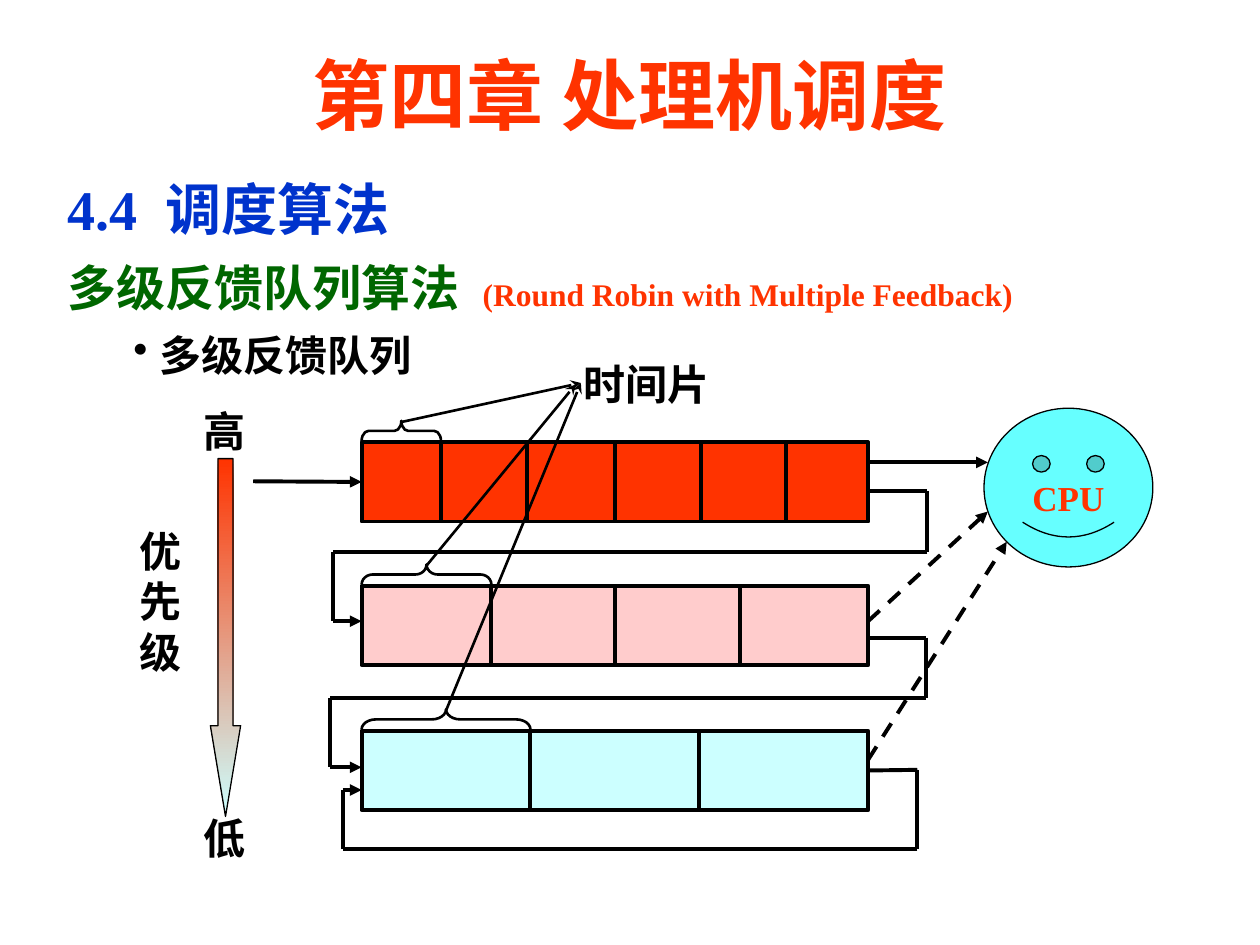
from dataclasses import dataclass

from pptx import Presentation
from pptx.dml.color import RGBColor as RGB
from pptx.enum.dml import MSO_LINE as Dash
from pptx.enum.shapes import MSO_CONNECTOR as Conn, MSO_SHAPE as Geo
from pptx.enum.text import MSO_ANCHOR as Anchor, PP_ALIGN as Align
from pptx.oxml.ns import qn
from pptx.util import Inches, Pt
from lxml.etree import SubElement


@dataclass(frozen=True)
class Theme:
    font: str = "Times New Roman"
    black: str = "000000"
    red: str = "FF3300"
    blue: str = "0033CC"
    green: str = "006600"
    pink: str = "FFCCCC"
    pale: str = "CCFFFF"
    cyan: str = "66FFFF"
    title: int = 44
    head: int = 32
    sub: int = 28
    label: int = 24
    cpu: int = 20
    note: int = 18
    thick: float = 2.25
    mid: float = 1.5
    thin: float = 0.75


def write(para, text, size, color, gap=0):
    """Add a bold run; gap is extra letter spacing in points."""
    run = para.add_run()
    run.text = text
    font = run.font
    font.name, font.size, font.bold = Theme.font, Pt(size), True
    font.color.rgb = RGB.from_string(color)
    if gap:
        run._r.get_or_add_rPr().set("spc", str(gap * 100))


def bullet(para, left, hang):
    props = para._p.get_or_add_pPr()
    props.set("marL", str(Inches(left)))
    props.set("indent", str(-Inches(hang)))
    SubElement(props, qn("a:buChar")).set("char", "•")


class Page:
    def __init__(self, slide, theme):
        self.slide, self.theme = slide, theme
        self.rows = []

    def text(self, at, text=None, size=None, color=None, align=Align.LEFT,
             anchor=Anchor.TOP):
        box = self.slide.shapes.add_textbox(*map(Inches, at))
        frame = box.text_frame
        frame.word_wrap = True
        frame.vertical_anchor = anchor
        if text:
            para = frame.paragraphs[0]
            para.alignment = align
            write(para, text, size or self.theme.label, color or self.theme.black)
        return frame

    def shape(self, kind, at, fill=None, width=None, adj=(), turn=0):
        item = self.slide.shapes.add_shape(kind, *map(Inches, at))
        item.shadow.inherit = False
        item.rotation = turn
        for i, value in enumerate(adj):
            item.adjustments[i] = value
        if isinstance(fill, tuple):
            item.fill.gradient()
            item.fill.gradient_angle = 270
            for stop, color in zip(item.fill.gradient_stops, fill):
                stop.color.rgb = RGB.from_string(color)
        elif fill:
            item.fill.solid()
            item.fill.fore_color.rgb = RGB.from_string(fill)
        else:
            item.fill.background()
        item.line.color.rgb = RGB.from_string(self.theme.black)
        item.line.width = Pt(width or self.theme.thin)
        return item

    def dock(self, point):
        """Find the row and side whose middle lies at the point."""
        for row, (x, y, w, h) in self.rows:
            mids = ((x + w / 2, y), (x, y + h / 2),
                    (x + w / 2, y + h), (x + w, y + h / 2))
            for side, mid in enumerate(mids):
                if max(abs(a - b) for a, b in zip(point, mid)) < 0.02:
                    return row, side
        return None

    def line(self, start, end, width=None, head=None, dash=False):
        link = self.slide.shapes.add_connector(
            Conn.STRAIGHT, *map(Inches, (*start, *end)))
        for point, join in ((start, link.begin_connect), (end, link.end_connect)):
            spot = self.dock(point)
            if spot:
                join(*spot)
        link.line.color.rgb = RGB.from_string(self.theme.black)
        link.line.width = Pt(width or self.theme.thick)
        if dash:
            link.line.dash_style = Dash.DASH
        if head:
            SubElement(link.line._get_or_add_ln(), qn("a:tailEnd")).set("type", head)
        SubElement(link._element.spPr, qn("a:effectLst"))

    def route(self, *points):
        """Draw a bent path with an arrow on its last leg."""
        last = len(points) - 2
        for i, (start, end) in enumerate(zip(points, points[1:])):
            self.line(start, end, head="triangle" if i == last else None)

    def row(self, at, fill, cuts):
        box = self.shape(Geo.RECTANGLE, at, fill, self.theme.thick)
        self.rows.append((box, at))
        top, foot = at[1], at[1] + at[3]
        for x in cuts:
            self.line((x, top), (x, foot))

    def brace(self, left, right, top, bend):
        span, deep = right - left, 0.16
        mid = (left + right) / 2
        at = (mid - deep / 2, top - 0.09 - span / 2, deep, span)
        self.shape(Geo.LEFT_BRACE, at, width=self.theme.mid,
                   adj=(bend, 0.5), turn=90)


def heads(page):
    th = page.theme
    page.text((0.75, 0.28, 8.5, 0.92), "第四章 处理机调度", th.title, th.red,
              Align.CENTER, Anchor.MIDDLE)
    frame = page.text((0.44, 1.28, 9.17, 1.75))
    lines = (
        (("4.4", th.head, th.blue), (" ", th.head, th.blue, 8),
         ("调度算法", th.head, th.blue)),
        (("多级反馈队列算法", th.sub, th.green), (" ", th.sub, th.green, 7),
         ("(Round Robin with Multiple Feedback)", th.note, th.red)),
        (("多级反馈队列", th.label, th.black),),
    )
    for i, runs in enumerate(lines):
        para = frame.add_paragraph() if i else frame.paragraphs[0]
        para.line_spacing = 1.1
        para.space_before = Pt(runs[0][1] * 0.2)
        for run in runs:
            write(para, *run)
    bullet(para, 0.73, 0.21)


def queues(page):
    th = page.theme
    left, wide, high = 2.87, 4.02, 0.63
    right = left + wide
    rows = (
        (3.51, th.red, (3.5, 4.18, 4.89, 5.56, 6.24), 0.34, (4.61, 3.04)),
        (4.65, th.pink, (3.9, 4.89, 5.87), 0.55, (4.57, 3.05)),
        (5.8, th.pale, (4.21, 5.55), 0.71, (4.61, 3.04)),
    )
    for top, fill, cuts, _, _ in rows:
        page.row((left, top, wide, high), fill, cuts)

    page.route((2.01, 3.82), (left, 3.82))
    page.route((right, 3.67), (7.84, 3.67))
    for y, turn, low, near, far in ((3.9, 4.38, 4.93, 2.64, 7.36),
                                    (5.06, 5.54, 6.09, 2.62, 7.35),
                                    (6.11, 6.74, 6.27, 2.72, 7.28)):
        page.route((right, y), (far, y), (far, turn), (near, turn),
                   (near, low), (left, low))

    face = page.shape(Geo.SMILEY_FACE, (7.81, 3.24, 1.34, 1.26), th.cyan, adj=(0.05,))
    frame = face.text_frame
    frame.word_wrap = False
    frame.margin_top = Inches(0.21)
    frame.vertical_anchor = Anchor.MIDDLE
    frame.paragraphs[0].alignment = Align.CENTER
    write(frame.paragraphs[0], "CPU", th.cpu, th.red)
    for y, tip in ((4.93, (7.84, 4.06)), (6.03, (7.99, 4.3))):
        page.line((right, y), tip, head="triangle", dash=True)

    for top, _, cuts, bend, tip in rows:
        page.brace(left, cuts[0], top, bend)
        page.line(((left + cuts[0]) / 2, top - 0.16), tip, th.mid, "stealth")
    page.text((4.5, 2.8, 1.26, 0.5), "时间片", align=Align.CENTER)


def ranks(page):
    th = page.theme
    page.text((0.88, 4.12, 0.79, 1.3), "优先级", align=Align.CENTER)
    for word, top in (("高", 3.17), ("低", 6.4)):
        page.text((1.52, top, 0.55, 0.5), word)
    page.shape(Geo.DOWN_ARROW, (1.67, 3.64, 0.24, 2.84), (th.red, th.pale),
               adj=(0.5, 3))


def main():
    deck = Presentation()
    deck.slide_width, deck.slide_height = Inches(10), Inches(7.5)
    page = Page(deck.slides.add_slide(deck.slide_layouts[6]), Theme())
    heads(page)
    queues(page)
    ranks(page)
    deck.save("out.pptx")


if __name__ == "__main__":
    main()
